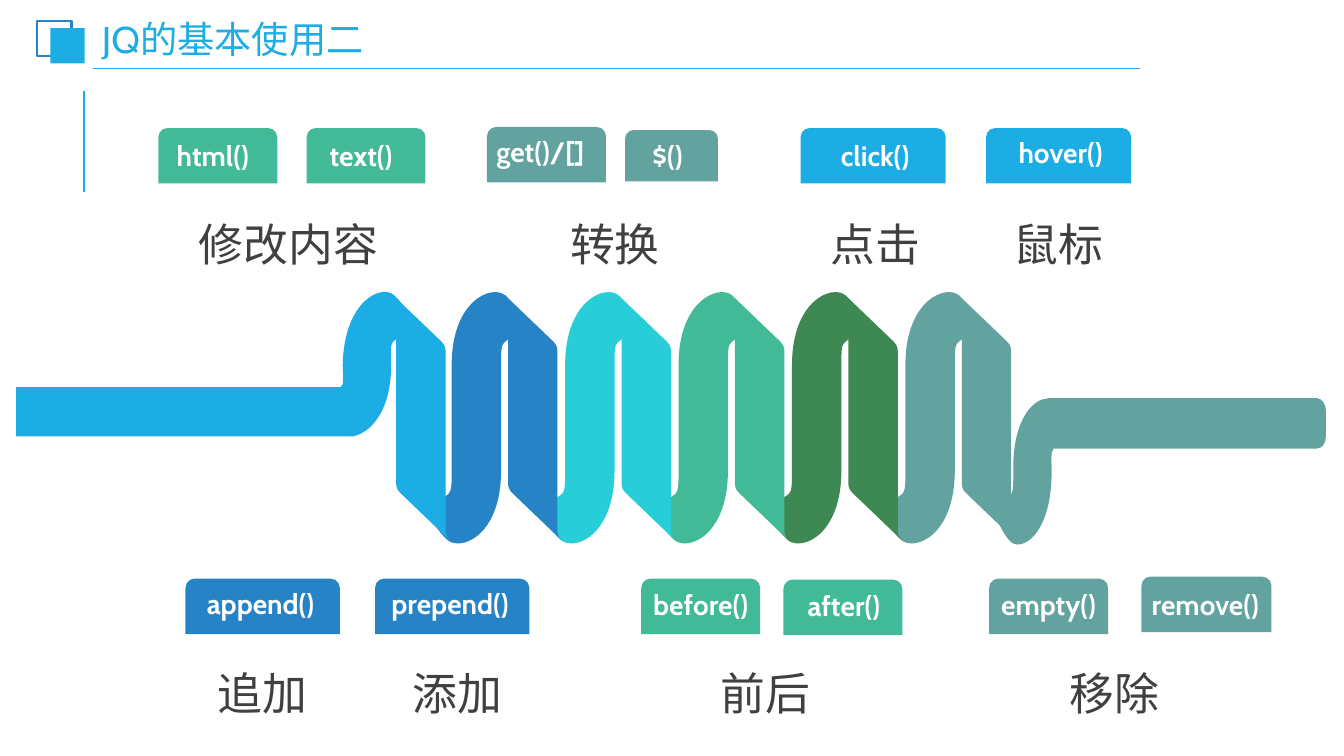
import pptx
import pptx.util
import pptx.dml.color
import pptx.enum.shapes
import pptx.enum.text
import pptx.oxml.ns
import lxml.etree

RGB = pptx.dml.color.RGBColor
SKY = RGB(0x1C, 0xAD, 0xE4)
BLUE = RGB(0x26, 0x83, 0xC6)
CYAN = RGB(0x27, 0xCE, 0xD7)
MINT = RGB(0x42, 0xBA, 0x97)
GREEN = RGB(0x3E, 0x88, 0x53)
SAGE = RGB(0x62, 0xA3, 0x9F)
WHITE = RGB(0xFF, 0xFF, 0xFF)
GRAY = RGB(0x40, 0x40, 0x40)
FONT = "Cabin"

TITLE = "JQ的基本使用二"
# text, colour, tab left, top, width, height, text shift right, text shift up
TABS = [
    ("html()", MINT, 1.57, 1.27, 1.18, 0.55, -0.05, 0),
    ("text()", MINT, 3.04, 1.27, 1.18, 0.55, -0.05, 0),
    ("get()/[]", SAGE, 4.83, 1.26, 1.18, 0.55, -0.06, 0.03),
    ("$()", SAGE, 6.2, 1.29, 0.92, 0.51, -0.04, 0),
    ("click()", SKY, 7.94, 1.27, 1.44, 0.55, 0.02, 0),
    ("hover()", SKY, 9.78, 1.27, 1.44, 0.55, 0.02, 0.03),
    ("append()", BLUE, 1.84, 5.74, 1.53, 0.55, -0.02, 0.03),
    ("prepend()", BLUE, 3.72, 5.74, 1.53, 0.55, -0.02, 0.03),
    ("before()", MINT, 6.36, 5.74, 1.18, 0.55, 0, 0.02),
    ("after()", MINT, 7.77, 5.75, 1.18, 0.55, 0.01, 0.02),
    ("empty()", SAGE, 9.81, 5.74, 1.18, 0.55, 0, 0.02),
    ("remove()", SAGE, 11.32, 5.72, 1.29, 0.55, -0.01, 0),
]
UPPER, LOWER = 1.94, 6.39
CAPTION_W, CAPTION_H = 2.62, 0.75
CAPTIONS = [
    ("修改内容", 1.55, UPPER), ("转换", 4.79, UPPER), ("点击", 7.37, UPPER),
    ("鼠标", 9.19, UPPER), ("追加", 1.29, LOWER), ("添加", 3.23, LOWER),
    ("前后", 6.28, LOWER), ("移除", 9.74, LOWER),
]

# Outlines: one point is a straight step, three points are a Bezier curve.
HUMP = [
    [(0.49, 4.67)], [(0.49, 3.62)],
    [(0.49, 3.5), (0.49, 3.42), (0.52, 3.4)],
    [(0.61, 3.31), (0.7, 3.35), (0.72, 3.29)],
    [(0.75, 3.19), (0.61, 3.01), (0.53, 2.93)],
    [(0.4, 2.82), (0, 2.98), (0, 3.62)], [(0, 4.67)],
    [(0, 4.79), (0, 4.87), (-0.03, 4.9)],
    [(-0.12, 4.98), (-0.21, 4.94), (-0.23, 5.01)],
    [(-0.26, 5.1), (-0.12, 5.29), (-0.04, 5.36)],
    [(0.1, 5.47), (0.49, 5.31), (0.49, 4.67)],
]
BAND = [
    [(1.05, 5.27)], [(1.05, 3.49)],
    [(1.05, 3.47), (1.05, 3.43), (1.01, 3.39)], [(0.53, 2.93)],
    [(0.53, 2.93), (0.56, 2.97), (0.56, 3.02)], [(0.56, 4.8)],
    [(0.56, 4.81), (0.56, 4.86), (0.61, 4.9)], [(1.09, 5.36)],
    [(1.08, 5.35), (1.05, 5.32), (1.05, 5.27)],
]
HEAD = [
    [(3.78, 2.9)],
    [(3.83, 2.89), (3.88, 2.9), (3.91, 2.93)],
    [(3.99, 3), (4.12, 3.19), (4.1, 3.28)],
    [(4.08, 3.35), (3.99, 3.3), (3.9, 3.39)],
    [(3.87, 3.42), (3.88, 3.5), (3.88, 3.62)],
    [(3.88, 4.1), (3.66, 4.3), (3.5, 4.33)],
    [(0.16, 4.33)], [(0.16, 3.84)], [(3.38, 3.84)], [(3.4, 3.81)],
    [(3.41, 3.77), (3.4, 3.7), (3.4, 3.62)],
    [(3.41, 3.14), (3.62, 2.93), (3.78, 2.9)],
]
TAIL = [
    [(10.4, 3.95)], [(13.06, 3.95)],
    [(13.11, 3.95), (13.15, 4.01), (13.15, 4.07)], [(13.15, 4.33)],
    [(13.15, 4.4), (13.11, 4.45), (13.06, 4.45)], [(10.45, 4.45)],
    [(10.42, 4.48), (10.43, 4.56), (10.43, 4.68)],
    [(10.43, 5.32), (10.12, 5.48), (10.02, 5.37)],
    [(9.95, 5.3), (9.85, 5.11), (9.87, 5.01)],
    [(9.88, 4.95), (9.96, 4.99), (10.03, 4.9)],
    [(10.05, 4.88), (10.05, 4.8), (10.05, 4.68)],
    [(10.04, 4.2), (10.22, 3.99), (10.35, 3.96)],
]
COIL_LEFT, COIL_PITCH = 4.48, 1.125
COILS = [BLUE, CYAN, MINT, GREEN, SAGE]

Inches, Pt = pptx.util.Inches, pptx.util.Pt
SHAPE = pptx.enum.shapes.MSO_SHAPE
ALIGN = pptx.enum.text.PP_ALIGN
MIDDLE = pptx.enum.text.MSO_ANCHOR.MIDDLE
qn = pptx.oxml.ns.qn


def paint(sp, fill=None, line=None, width=1.5):
    sp.shadow.inherit = False
    if fill is None:
        sp.fill.background()
    else:
        sp.fill.solid()
        sp.fill.fore_color.rgb = fill
    if line is None:
        sp.line.fill.background()
    else:
        sp.line.color.rgb = line
        sp.line.width = Pt(width)


def add_line(s, x1, y1, x2, y2, width):
    line = s.shapes.add_connector(pptx.enum.shapes.MSO_CONNECTOR.STRAIGHT,
                                  *map(Inches, (x1, y1, x2, y2)))
    line.line.color.rgb = SKY
    line.line.width = Pt(width)
    lxml.etree.SubElement(line._element.spPr, qn("a:effectLst"))


def add_ribbon(s, outline, color, left=0):
    """Build the outline from its step ends, then bend the curved steps."""
    steps = [[(Inches(left + x), Inches(y)) for x, y in step] for step in outline]
    ends = [step[-1] for step in steps]
    builder = s.shapes.build_freeform(*ends[0], scale=1.0)
    builder.add_line_segments(ends[1:], close=True)
    sp = builder.convert_to_shape()
    paint(sp, color)
    segments = list(sp._element.spPr.iter(qn("a:lnTo")))
    for segment, step in zip(segments, steps[1:]):
        if len(step) == 1:
            continue
        curve = lxml.etree.Element(qn("a:cubicBezTo"))
        for x, y in step:
            lxml.etree.SubElement(curve, qn("a:pt"),
                                  x=str(x - sp.left), y=str(y - sp.top))
        segment.getparent().replace(segment, curve)


def write(tf, text, align, spacing=1.0, **font):
    p = tf.paragraphs[0]
    p.alignment = align
    p.line_spacing = spacing
    r = p.add_run()
    r.text = text
    r.font.name = FONT
    r.font.color.rgb = font.pop("color")
    for name, value in font.items():
        setattr(r.font, name, value)


def add_title(s):
    sp = s.shapes.title
    sp.left, sp.top, sp.width, sp.height = map(Inches, (0.94, 0.23, 3.93, 0.37))
    tf = sp.text_frame
    tf.auto_size = pptx.enum.text.MSO_AUTO_SIZE.NONE
    tf.vertical_anchor = MIDDLE
    tf.margin_left = tf.margin_right = Inches(0.07)
    tf.margin_top = tf.margin_bottom = Inches(0.04)
    write(tf, TITLE, ALIGN.LEFT, 0.9, size=Pt(26.6), color=SKY)


def add_tab(s, text, color, left, top, width, height, right, up):
    sp = s.shapes.add_shape(SHAPE.ROUND_2_SAME_RECTANGLE,
                            *map(Inches, (left, top, width, height)))
    paint(sp, color)
    tf = sp.text_frame
    tf.word_wrap = False
    tf.vertical_anchor = MIDDLE
    tf.margin_left = Inches(max(0, 2 * right))
    tf.margin_right = Inches(max(0, -2 * right))
    tf.margin_top, tf.margin_bottom = 0, Inches(2 * up + 0.03)
    write(tf, text, ALIGN.CENTER, size=Pt(20), bold=True, color=WHITE)


def main():
    prs = pptx.Presentation()
    prs.slide_width, prs.slide_height = Inches(13.33), Inches(7.5)
    s = prs.slides.add_slide(prs.slide_layouts[5])

    add_line(s, 0.83, 0.9, 0.83, 1.9, 1.5)
    add_line(s, 0.92, 0.68, 11.31, 0.68, 1.25)
    for left, top, fill, line in ((0.37, 0.21, None, BLUE), (0.5, 0.28, SKY, None)):
        sp = s.shapes.add_shape(SHAPE.RECTANGLE,
                                *map(Inches, (left, top, 0.34, 0.35)))
        paint(sp, fill, line)
    add_title(s)

    add_ribbon(s, TAIL, SAGE)
    for i, color in reversed(list(enumerate(COILS))):
        for outline in (HUMP, BAND):
            add_ribbon(s, outline, color, COIL_LEFT + i * COIL_PITCH)
    add_ribbon(s, HEAD, SKY)
    add_ribbon(s, BAND, SKY, 3.37)

    for tab in TABS:
        add_tab(s, *tab)
    for text, left, top in CAPTIONS:
        box = s.shapes.add_textbox(*map(Inches, (left, top, CAPTION_W, CAPTION_H)))
        box.text_frame.word_wrap = True
        write(box.text_frame, text, ALIGN.CENTER, 1.3, size=Pt(32), color=GRAY)
    prs.save("out.pptx")


if __name__ == "__main__":
    main()
